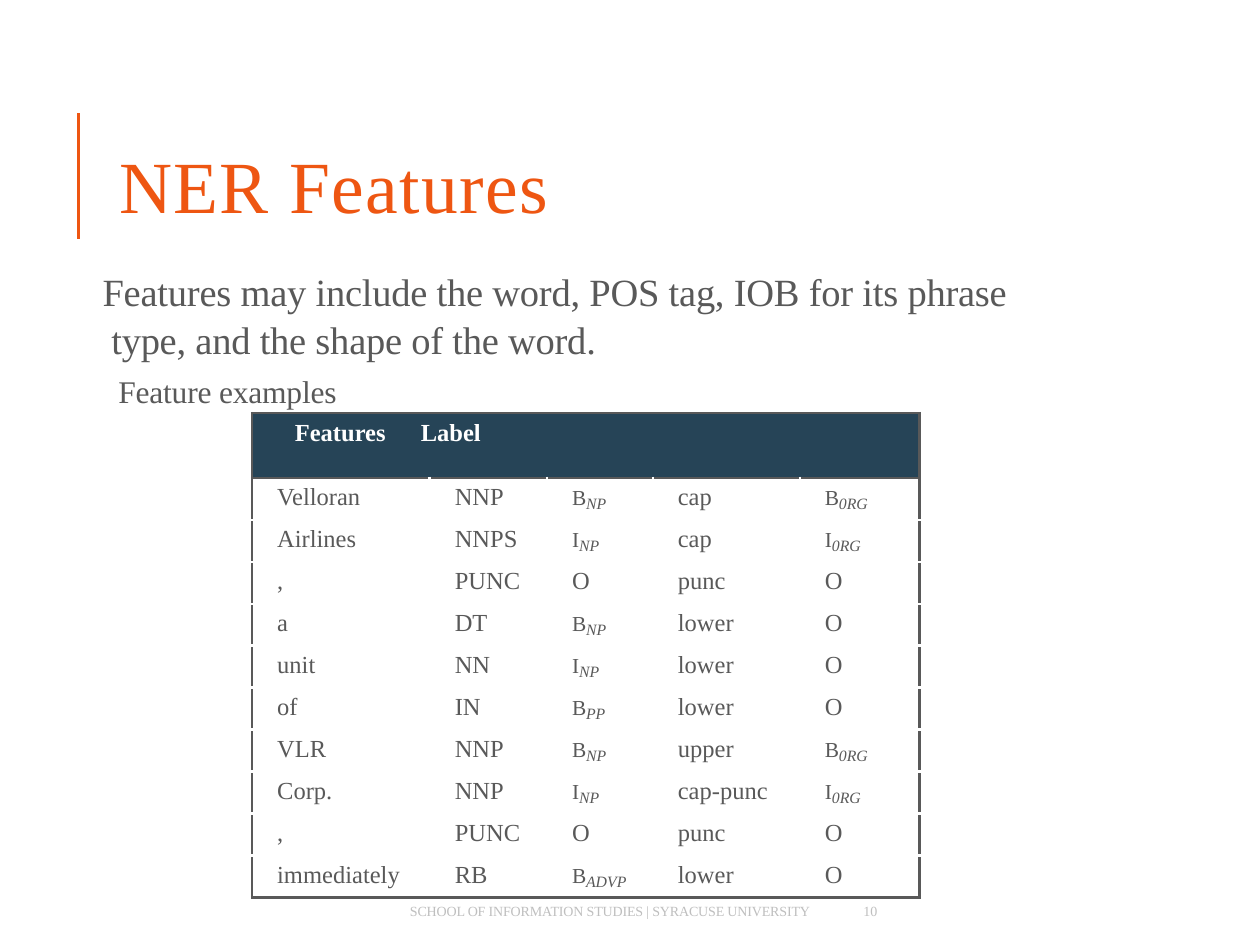
from typing import NamedTuple

from lxml import etree
from pptx import Presentation
from pptx.dml.color import RGBColor
from pptx.enum.shapes import MSO_CONNECTOR
from pptx.enum.text import MSO_ANCHOR
from pptx.oxml.ns import qn
from pptx.util import Pt

STRAIGHT = MSO_CONNECTOR.STRAIGHT
TOP = MSO_ANCHOR.TOP
BOTTOM = MSO_ANCHOR.BOTTOM

ORANGE = RGBColor(0xEE, 0x56, 0x12)
GRAY = RGBColor(0x59, 0x59, 0x59)
LIGHT_GRAY = RGBColor(0xBF, 0xBF, 0xBF)
NAVY = RGBColor(0x26, 0x44, 0x57)
WHITE = RGBColor(0xFF, 0xFF, 0xFF)
FONT = "Times New Roman"

COLUMN_WIDTHS = (101.5, 67, 60.5, 84, 68.5)
HEADER_HEIGHT = 37
ROW_HEIGHT = 24
CELL_SIZE = 14
LABEL_TAB = 330.5


class Line(NamedTuple):
    text: str
    size: float
    color: RGBColor
    margin: float = 0
    indent: float = 0
    before: float = 0
    spacing: float = 1
    tracking: float = 0


class Box(NamedTuple):
    left: float
    top: float
    width: float
    height: float
    lines: tuple[Line, ...]
    inset: float = 0
    anchor: MSO_ANCHOR = TOP


class Token(NamedTuple):
    word: str
    pos: str
    phrase: str
    shape: str
    label: str


BOXES = (
    Box(67, 77.8, 250, 52.6,
        (Line("NER Features", 42, ORANGE, margin=1, tracking=0.8),),
        anchor=BOTTOM),
    Box(233.3, 515.5, 236, 11,
        (Line("SCHOOL OF INFORMATION STUDIES | SYRACUSE UNIVERSITY",
              8, LIGHT_GRAY, margin=1, tracking=-0.1),)),
    Box(490.3, 515.5, 13.7, 11, (Line("10", 8, LIGHT_GRAY, margin=3),)),
    Box(57.6, 149.8, 526.3, 80.6,
        (Line("Features may include the word, POS tag, IOB for its phrase "
              "type, and the shape of the word.",
              22, GRAY, margin=6, indent=-5, spacing=1.06, tracking=-0.1),
         Line("Feature examples", 18, GRAY, margin=10, before=5.5,
              tracking=-0.1)),
        inset=1.5),
)

TOKENS = (
    Token("Velloran", "NNP", "B_NP", "cap", "B_0RG"),
    Token("Airlines", "NNPS", "I_NP", "cap", "I_0RG"),
    Token(",", "PUNC", "O", "punc", "O"),
    Token("a", "DT", "B_NP", "lower", "O"),
    Token("unit", "NN", "I_NP", "lower", "O"),
    Token("of", "IN", "B_PP", "lower", "O"),
    Token("VLR", "NNP", "B_NP", "upper", "B_0RG"),
    Token("Corp.", "NNP", "I_NP", "cap-punc", "I_0RG"),
    Token(",", "PUNC", "O", "punc", "O"),
    Token("immediately", "RB", "B_ADVP", "lower", "O"),
)


def set_indent(paragraph, margin: float, indent: float = 0) -> None:
    properties = paragraph._p.get_or_add_pPr()
    properties.set("marL", str(Pt(margin)))
    properties.set("indent", str(Pt(indent)))


def set_font(font, size: float, color: RGBColor) -> None:
    font.name = FONT
    font.size = Pt(size)
    font.color.rgb = color


def add_box(slide, box: Box) -> None:
    shape = slide.shapes.add_textbox(
        Pt(box.left), Pt(box.top), Pt(box.width), Pt(box.height))
    frame = shape.text_frame
    frame.word_wrap = True
    frame.vertical_anchor = box.anchor
    frame.margin_left = frame.margin_right = frame.margin_bottom = 0
    frame.margin_top = Pt(box.inset)
    for index, line in enumerate(box.lines):
        paragraph = frame.add_paragraph() if index else frame.paragraphs[0]
        set_indent(paragraph, line.margin, line.indent)
        paragraph.line_spacing = line.spacing
        if index:
            paragraph.space_before = Pt(line.before)
        set_font(paragraph.font, line.size, line.color)
        run = paragraph.add_run()
        run.text = line.text
        run._r.get_or_add_rPr().set("spc", str(round(line.tracking * 100)))


def add_accent(slide) -> None:
    connector = slide.shapes.add_connector(
        STRAIGHT, Pt(44.8), Pt(64.8), Pt(44.8), Pt(136.8))
    connector.line.color.rgb = ORANGE
    connector.line.width = Pt(2)
    etree.SubElement(connector._element.spPr, qn("a:effectLst"))


def set_borders(cell, row: int, column: int) -> None:
    header = row == 0
    dark_edges = {
        "L": header or column == 0,
        "R": header or column == len(COLUMN_WIDTHS) - 1,
        "T": row <= 1,
        "B": header or row == len(TOKENS),
    }
    properties = cell._tc.get_or_add_tcPr()
    for edge, dark in dark_edges.items():
        line = etree.SubElement(
            properties, qn(f"a:ln{edge}"), w=str(Pt(1.5)))
        fill = etree.SubElement(line, qn("a:solidFill"))
        etree.SubElement(
            fill, qn("a:srgbClr"), val=str(GRAY if dark else WHITE))


def set_margins(cell, top: float) -> None:
    cell.margin_left = cell.margin_right = cell.margin_bottom = 0
    cell.margin_top = Pt(top)


def fill_header(cell) -> None:
    set_margins(cell, 3.6)
    cell.fill.solid()
    cell.fill.fore_color.rgb = NAVY
    paragraph = cell.text_frame.paragraphs[0]
    set_indent(paragraph, 24.5)
    tabs = etree.SubElement(paragraph._p.get_or_add_pPr(), qn("a:tabLst"))
    etree.SubElement(tabs, qn("a:tab"), pos=str(Pt(LABEL_TAB)), algn="l")
    set_font(paragraph.font, CELL_SIZE, WHITE)
    paragraph.font.bold = True
    paragraph.add_run().text = "Features\tLabel"


def fill_cell(cell, text: str) -> None:
    base, _, subscript = text.partition("_")
    set_margins(cell, 6.5 if subscript else 3.6)
    cell.fill.background()
    paragraph = cell.text_frame.paragraphs[0]
    set_indent(paragraph, 14.4)
    if subscript:
        paragraph.line_spacing = Pt(16.4)
    set_font(paragraph.font, CELL_SIZE, GRAY)
    base_run = paragraph.add_run()
    base_run.text = base
    if subscript:
        base_run.font.size = Pt(21)
        base_run._r.get_or_add_rPr().set("baseline", "12000")
        subscript_run = paragraph.add_run()
        subscript_run.text = subscript
        subscript_run.font.size = Pt(9)
        subscript_run.font.italic = True


def add_feature_table(slide) -> None:
    height = HEADER_HEIGHT + ROW_HEIGHT * len(TOKENS)
    table = slide.shapes.add_table(
        len(TOKENS) + 1, len(COLUMN_WIDTHS), Pt(144), Pt(236),
        Pt(sum(COLUMN_WIDTHS)), Pt(height)).table
    table.first_row = table.horz_banding = False
    for column, width in zip(table.columns, COLUMN_WIDTHS):
        column.width = Pt(width)
    for index, row in enumerate(table.rows):
        row.height = Pt(ROW_HEIGHT if index else HEADER_HEIGHT)
        for column, cell in enumerate(row.cells):
            set_borders(cell, index, column)
    table.cell(0, 0).merge(table.cell(0, len(COLUMN_WIDTHS) - 1))
    fill_header(table.cell(0, 0))
    for index, token in enumerate(TOKENS, start=1):
        for column, text in enumerate(token):
            fill_cell(table.cell(index, column), text)


def main() -> None:
    presentation = Presentation()
    presentation.slide_width = Pt(720)
    presentation.slide_height = Pt(540)
    slide = presentation.slides.add_slide(presentation.slide_layouts[6])
    add_accent(slide)
    for box in BOXES:
        add_box(slide, box)
    add_feature_table(slide)
    presentation.save("out.pptx")


if __name__ == "__main__":
    main()
